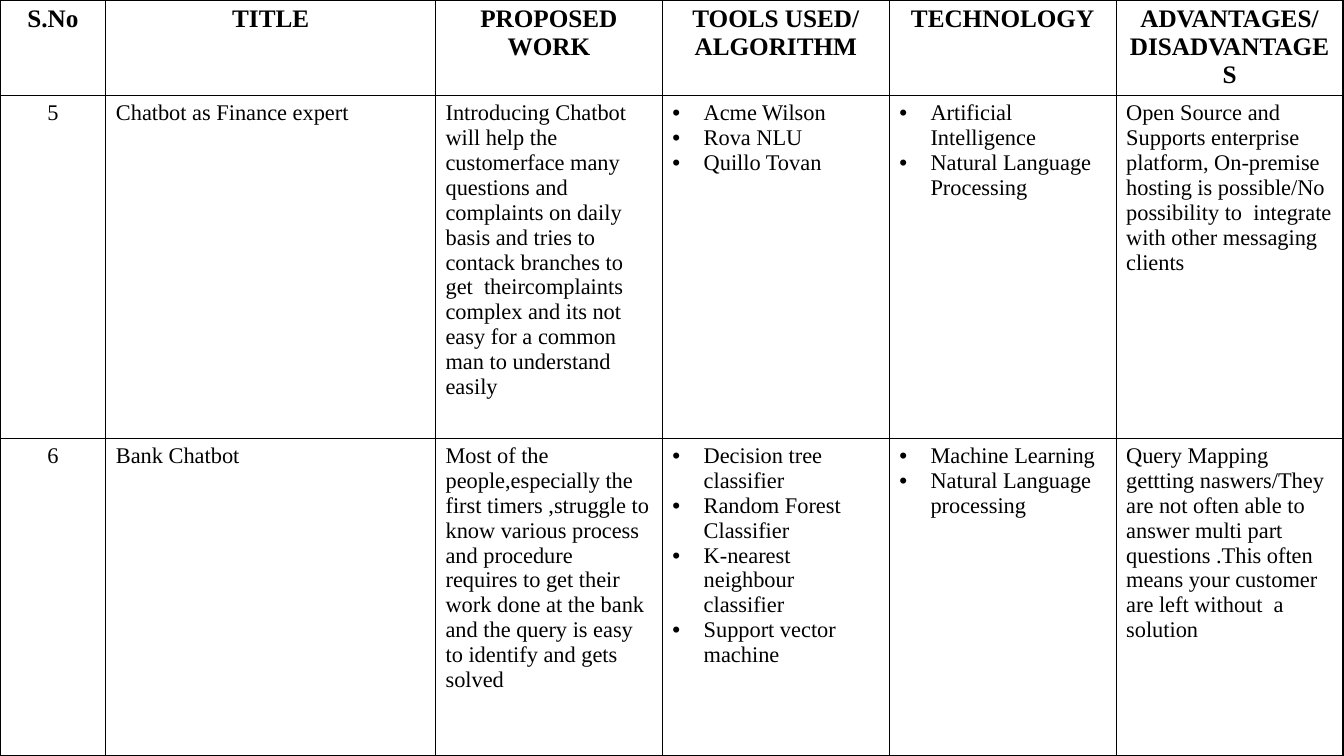
from lxml import etree
from pptx import Presentation
from pptx import util as u
from pptx.dml.color import RGBColor
from pptx.enum import text
from pptx.oxml import ns

BLACK = "000000"
WHITE = "FFFFFF"


def color(value):
    return RGBColor.from_string(value)


def add_xml(parent, tag, **attributes):
    return etree.SubElement(parent, ns.qn(tag), attributes)


class SurveySlide:
    font = "Times New Roman"
    heading_size = 18
    body_size = 16
    border_width = 1
    bullet_indent = 0.31

    def __init__(self, slide):
        self.slide = slide

    def table(self, rows, widths, heights):
        frame = self.slide.shapes.add_table(
            len(heights), len(widths), u.Inches(0), u.Inches(0),
            u.Inches(sum(widths)), u.Inches(sum(heights)))
        survey = frame.table
        survey.first_row = survey.horz_banding = False
        for column, width in zip(survey.columns, widths):
            column.width = u.Inches(width)
        for row, height in zip(survey.rows, heights):
            row.height = u.Inches(height)
        for row_index, entries in enumerate(rows):
            for column_index, entry in enumerate(entries):
                self.cell(survey.cell(row_index, column_index), entry,
                          heading=row_index == 0,
                          centered=row_index == 0 or column_index == 0)

    def cell(self, cell, entry, heading, centered):
        lines = [entry] if isinstance(entry, str) else entry
        cell.text_frame.text = "\n".join(lines)
        for paragraph in cell.text_frame.paragraphs:
            paragraph.alignment = text.PP_ALIGN.CENTER if centered else text.PP_ALIGN.LEFT
            if not heading and len(lines) > 1:
                self.bullet(paragraph)
            for run in paragraph.runs:
                run.font.name = self.font
                run.font.size = u.Pt(self.heading_size if heading else self.body_size)
                run.font.bold = heading
                run.font.color.rgb = color(BLACK)
        self.borders(cell)
        cell.fill.solid()
        cell.fill.fore_color.rgb = color(WHITE)

    def bullet(self, paragraph):
        properties = paragraph._p.get_or_add_pPr()
        indent = u.Inches(self.bullet_indent)
        properties.set("marL", str(indent))
        properties.set("indent", str(-indent))
        add_xml(add_xml(properties, "a:buClr"), "a:srgbClr", val=BLACK)
        add_xml(properties, "a:buFont", typeface="Arial")
        add_xml(properties, "a:buChar", char="•")

    def borders(self, cell):
        properties = cell._tc.get_or_add_tcPr()
        for side in ("a:lnL", "a:lnR", "a:lnT", "a:lnB"):
            line = add_xml(properties, side, w=str(u.Pt(self.border_width)))
            add_xml(add_xml(line, "a:solidFill"), "a:srgbClr", val=BLACK)


HEADINGS = ["S.No", "TITLE", "PROPOSED WORK", ["TOOLS USED/", "ALGORITHM"],
            "TECHNOLOGY", "ADVANTAGES/ DISADVANTAGES"]
FINANCE_EXPERT = [
    "5",
    "Chatbot as Finance expert",
    "Introducing Chatbot will help the customerface many questions and complaints "
    "on daily basis and tries to contack branches to get  theircomplaints complex "
    "and its not easy for a common man to understand easily",
    ["Acme Wilson", "Rova NLU", "Quillo Tovan"],
    ["Artificial Intelligence", "Natural Language Processing"],
    "Open Source and Supports enterprise platform, On-premise hosting is "
    "possible/No possibility to  integrate with other messaging clients",
]
BANK_CHATBOT = [
    "6",
    "Bank Chatbot",
    "Most of the people,especially the first timers ,struggle to know various "
    "process and procedure  requires to get their work done at the bank and the "
    "query is easy to identify and gets solved",
    ["Decision tree classifier", "Random Forest Classifier",
     "K-nearest neighbour classifier", "Support vector machine"],
    ["Machine Learning", "Natural Language processing"],
    "Query Mapping gettting naswers/They are not often able to answer multi part "
    "questions .This often means your customer are left without  a solution",
]

presentation = Presentation()
presentation.slide_width = u.Inches(13.33)
presentation.slide_height = u.Inches(7.5)
survey_slide = SurveySlide(presentation.slides.add_slide(presentation.slide_layouts[6]))
survey_slide.table([HEADINGS, FINANCE_EXPERT, BANK_CHATBOT],
                   widths=[1.05, 3.27] + [2.25] * 4,
                   heights=[0.95, 3.4, 3.15])
presentation.save("out.pptx")
